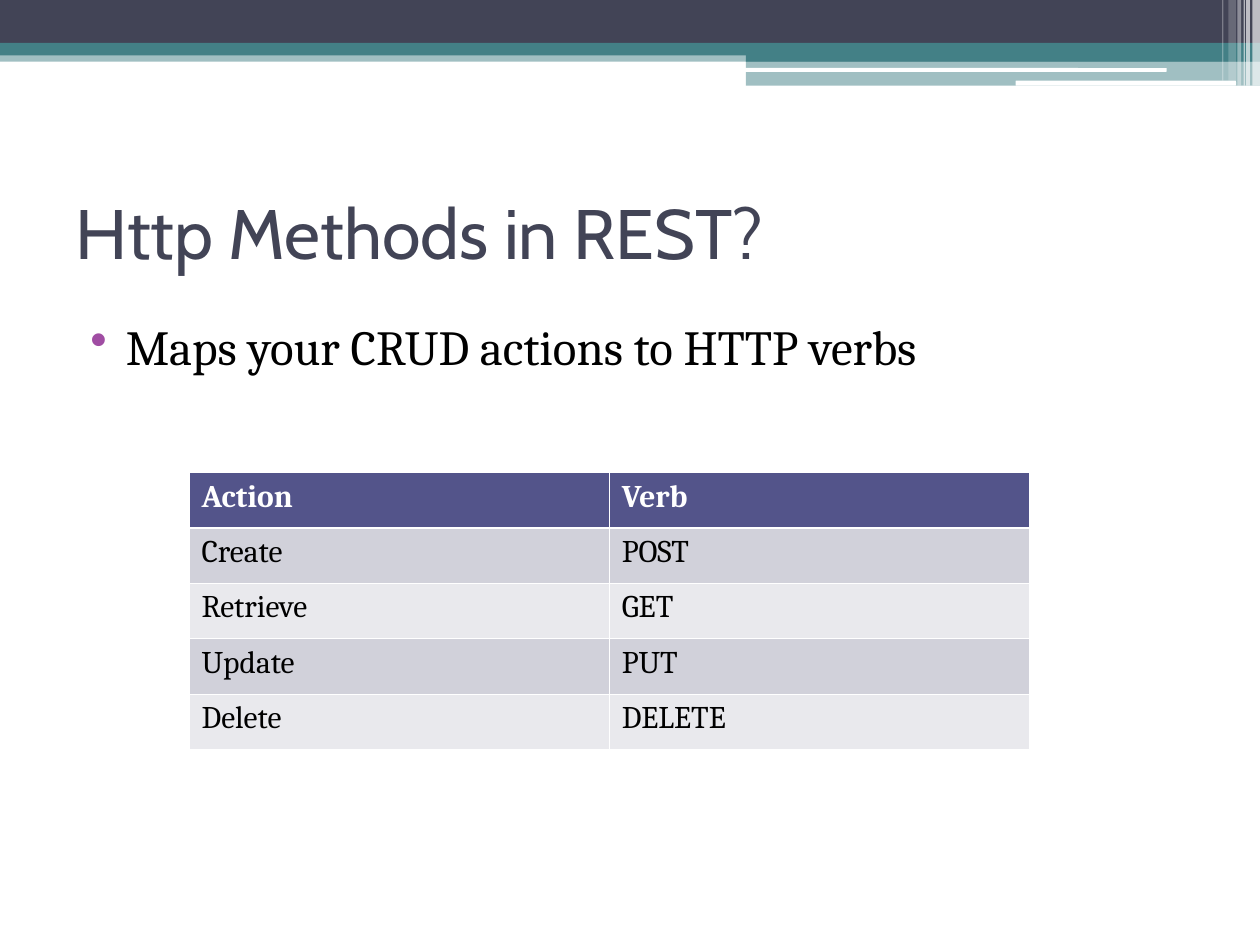
from dataclasses import dataclass
from typing import Any

from lxml.etree import SubElement as Sub
from pptx import Presentation as Deck
from pptx.dml.color import RGBColor as Rgb
from pptx.enum.shapes import MSO_SHAPE as Kind
from pptx.enum.text import MSO_ANCHOR as Anchor, PP_ALIGN as Align
from pptx.oxml.ns import qn
from pptx.util import Inches, Pt


@dataclass(frozen=True)
class Theme:
    dark: str = "424456"
    teal: str = "438086"
    white: str = "FFFFFF"
    black: str = "000000"
    dot: str = "A04DA3"
    head: str = "53548A"
    rows: tuple[str, str] = ("D1D1DA", "E9E9ED")
    title_font: str = "Cabin"
    body_font: str = "Cambria"
    title_size: int = 40
    body_size: int = 28
    cell_size: int = 18
    thin: float = 0.45
    thick: float = 1.47


@dataclass(frozen=True)
class Bar:
    left: float
    top: float
    width: float
    height: float
    color: str
    alpha: int = 100
    kind: Kind = Kind.RECTANGLE


T = Theme()
ROUND = Kind.ROUNDED_RECTANGLE

# Header bands, then the pale stripes at the right edge
BANDS = [
    Bar(0, 0.4, 10, 0.09, T.teal, 50),
    Bar(0, 0, 10, 0.34, T.dark),
    Bar(0, 0.34, 10, 0.1, T.teal),
    Bar(5.92, 0.39, 4.08, 0.1, T.teal),
    Bar(5.92, 0.48, 4.08, 0.2, T.teal, 50),
    Bar(5.91, 0.54, 3.35, 0.03, T.white, kind=ROUND),
    Bar(8.06, 0.64, 1.75, 0.04, T.white, kind=ROUND),
]
STRIPES = [
    Bar(left, 0, width, height, T.white, alpha)
    for left, width, height, alpha in [
        (9.94, 0.06, 0.68, 65),
        (9.89, 0.03, 0.68, 65),
        (9.87, 0.01, 0.68, 60),
        (9.82, 0.03, 0.68, 40),
        (9.75, 0.06, 0.64, 20),
        (9.7, 0.01, 0.64, 30),
    ]
]
VERBS = [
    ("Action", "Verb"),
    ("Create", "POST"),
    ("Retrieve", "GET"),
    ("Update", "PUT"),
    ("Delete", "DELETE"),
]


def draw_bar(slide: Any, bar: Bar) -> None:
    box = map(Inches, (bar.left, bar.top, bar.width, bar.height))
    shape = slide.shapes.add_shape(bar.kind, *box)
    shape.shadow.inherit = False
    shape.line.fill.background()
    shape.fill.solid()
    shape.fill.fore_color.rgb = Rgb.from_string(bar.color)
    if bar.alpha < 100:
        color = shape.fill._xPr.find(".//" + qn("a:srgbClr"))
        Sub(color, qn("a:alpha"), val=str(bar.alpha * 1000))


def put_text(frame: Any, text: str, *, size: int, color: str,
             font: str = T.body_font, bold: bool = False,
             anchor: Anchor = Anchor.TOP, bullet: str = "") -> None:
    frame.word_wrap = True
    frame.vertical_anchor = anchor
    para = frame.paragraphs[0]
    para.alignment = Align.LEFT
    if bullet:
        props = para._p.get_or_add_pPr()
        props.set("marL", str(Inches(0.4)))
        props.set("indent", str(Inches(-0.28)))
        Sub(Sub(props, qn("a:buClr")), qn("a:srgbClr"), val=T.dot)
        Sub(props, qn("a:buChar"), char=bullet)
    run = para.add_run()
    run.text = text
    run.font.name = font
    run.font.size = Pt(size)
    run.font.bold = bold
    run.font.color.rgb = Rgb.from_string(color)


def rule_cell(cell: Any, top: float, base: float) -> None:
    """Draw white borders; the fill must be set afterwards."""
    props = cell._tc.get_or_add_tcPr()
    sides = {"L": T.thin, "R": T.thin, "T": top, "B": base}
    for side, width in sides.items():
        line = Sub(props, qn("a:ln" + side), w=str(Pt(width)))
        Sub(Sub(line, qn("a:solidFill")), qn("a:srgbClr"), val=T.white)


def draw_table(slide: Any, data: list[tuple[str, str]]) -> None:
    box = map(Inches, (1.5, 3.75, 6.67, 0.44 * len(data)))
    table = slide.shapes.add_table(len(data), len(data[0]), *box).table
    for r, row in enumerate(data):
        table.rows[r].height = Inches(0.44)
        head = r == 0
        fill = T.head if head else T.rows[(r - 1) % 2]
        for c, text in enumerate(row):
            cell = table.cell(r, c)
            rule_cell(cell, T.thick if r == 1 else T.thin,
                      T.thick if head else T.thin)
            cell.fill.solid()
            cell.fill.fore_color.rgb = Rgb.from_string(fill)
            put_text(cell.text_frame, text, size=T.cell_size, bold=head,
                     color=T.white if head else T.black)


def main() -> None:
    deck = Deck()
    deck.slide_width, deck.slide_height = Inches(10), Inches(7.5)
    slide = deck.slides.add_slide(deck.slide_layouts[5])

    # Header
    for bar in BANDS + STRIPES:
        draw_bar(slide, bar)

    # Title
    title = slide.shapes.title
    title.left, title.top = Inches(0.5), Inches(1.25)
    title.width, title.height = Inches(9), Inches(1.17)
    put_text(title.text_frame, "Http Methods in REST?", size=T.title_size,
             color=T.dark, font=T.title_font, anchor=Anchor.MIDDLE)

    # Body
    body = slide.shapes.add_textbox(*map(Inches, (0.5, 2.46, 9, 4.73)))
    put_text(body.text_frame, "Maps your CRUD actions to HTTP verbs",
             size=T.body_size, color=T.black, bullet="•")

    # Table of verbs
    draw_table(slide, VERBS)
    deck.save("out.pptx")


if __name__ == "__main__":
    main()
